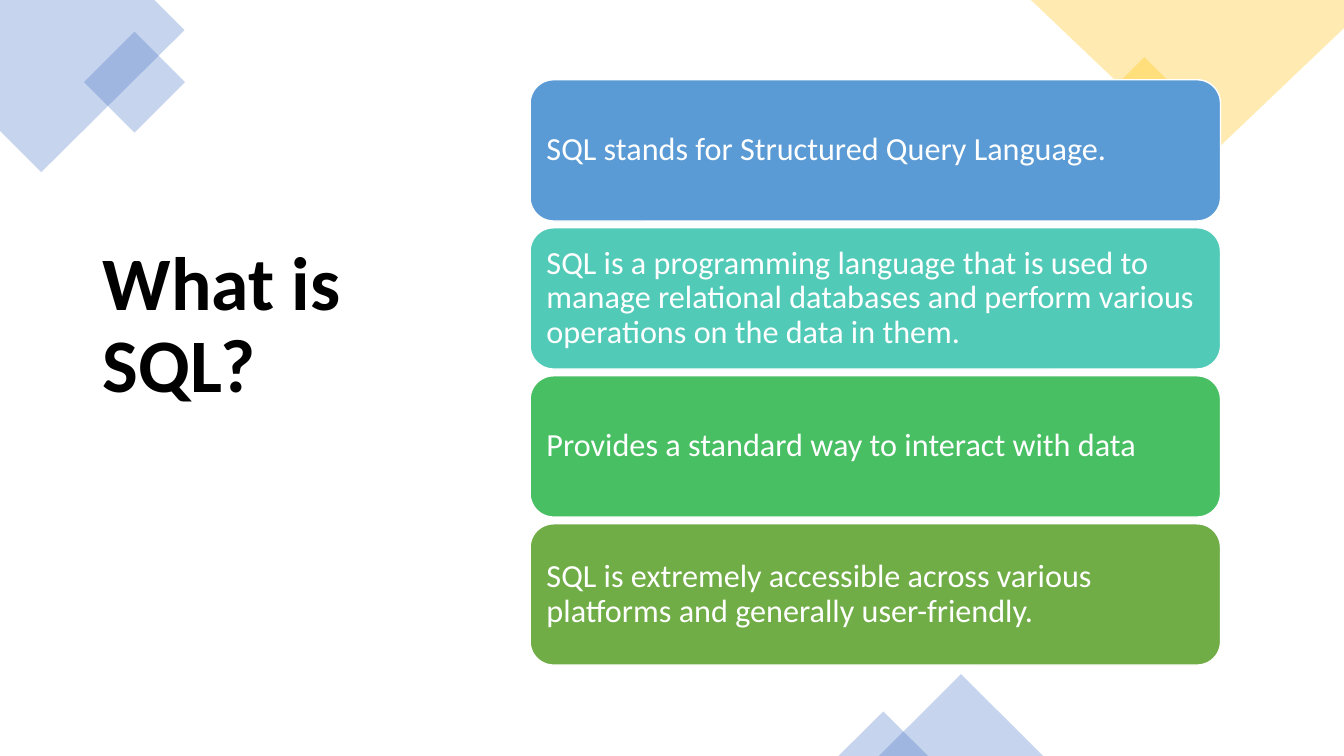
"""Build the "What is SQL?" slide with four stacked statement cards."""
from lxml.etree import SubElement
from pptx import Presentation
from pptx.dml.color import RGBColor
from pptx.enum.shapes import MSO_SHAPE
from pptx.enum.text import MSO_ANCHOR, PP_ALIGN
from pptx.oxml.ns import qn
from pptx.util import Cm, Pt

WHITE = RGBColor(0xFF, 0xFF, 0xFF)
BLACK = RGBColor(0x00, 0x00, 0x00)
CORNER_BLUE = RGBColor(0x44, 0x72, 0xC4)
CORNER_GOLD = RGBColor(0xFF, 0xC0, 0x00)
CARD_BLUE = RGBColor(0x5B, 0x9B, 0xD5)
CARD_TEAL = RGBColor(0x52, 0xCA, 0xB8)
CARD_GREEN = RGBColor(0x49, 0xBF, 0x64)
CARD_OLIVE = RGBColor(0x70, 0xAD, 0x47)


def tint(shape, color):
    shape.shadow.inherit = False
    shape.fill.solid()
    shape.fill.fore_color.rgb = color
    shape.line.fill.background()
    color_element = shape.fill._xPr.find(qn("a:solidFill"))[0]
    SubElement(color_element, qn("a:alpha"), val="30000")


def write(frame, text, size, color, bold=False):
    frame.word_wrap = True
    frame.vertical_anchor = MSO_ANCHOR.MIDDLE
    para = frame.paragraphs[0]
    para.text = text
    para.alignment = PP_ALIGN.LEFT
    para.line_spacing = 0.9
    para.font.name = "Calibri"
    para.font.size = Pt(size)
    para.font.bold = bold
    para.font.color.rgb = color


deck = Presentation()
deck.slide_width, deck.slide_height = Cm(33.87), Cm(19.05)
page = deck.slides.add_slide(deck.slide_layouts[6])

corners = [
    (CORNER_BLUE, [(0, 0), (3.89, 0), (4.65, 0.76), (1.04, 4.34), (0, 3.3)]),
    (CORNER_GOLD, [(33.87, 0), (25.98, 0), (30.3, 4.11), (33.87, 0.71)]),
]
for color, outline in corners:
    points = [(Cm(x), Cm(y)) for x, y in outline]
    builder = page.shapes.build_freeform(*points[0])
    builder.add_line_segments(points[1:], close=True)
    tint(builder.convert_to_shape(), color)

accents = [
    (MSO_SHAPE.RECTANGLE, CORNER_BLUE, 315, (2.49, 1.17, 1.8, 1.8)),
    (MSO_SHAPE.RECTANGLE, CORNER_GOLD, 315, (27.89, 1.83, 1.9, 1.9)),
    (MSO_SHAPE.ISOSCELES_TRIANGLE, CORNER_BLUE, 0, (22.15, 16.99, 4.14, 2.06)),
    (MSO_SHAPE.ISOSCELES_TRIANGLE, CORNER_BLUE, 0, (21.13, 17.93, 2.26, 1.12)),
]
for kind, color, angle, bounds in accents:
    accent = page.shapes.add_shape(kind, *map(Cm, bounds))
    accent.rotation = angle
    tint(accent, color)

title = page.shapes.add_textbox(Cm(2.34), Cm(1.55), Cm(9.37), Cm(15.47))
title.text_frame.margin_bottom = Cm(2.2)
write(title.text_frame, "What is SQL?", 54, BLACK, bold=True)

CARD_LEFT, CARD_TOP, CARD_WIDTH, CARD_HEIGHT = 13.36, 2.01, 17.4, 3.56
CARD_GAP = 0.17
cards = [
    (CARD_BLUE, "SQL stands for Structured Query Language."),
    (CARD_TEAL, "SQL is a programming language that is used to manage relational "
                "databases and perform various operations on the data in them."),
    (CARD_GREEN, "Provides a standard way to interact with data"),
    (CARD_OLIVE, "SQL is extremely accessible across various platforms and "
                 "generally user-friendly."),
]
for row, (color, statement) in enumerate(cards):
    top = CARD_TOP + row * (CARD_HEIGHT + CARD_GAP)
    card = page.shapes.add_shape(MSO_SHAPE.ROUNDED_RECTANGLE, Cm(CARD_LEFT),
                                 Cm(top), Cm(CARD_WIDTH), Cm(CARD_HEIGHT))
    card.shadow.inherit = False
    card.fill.solid()
    card.fill.fore_color.rgb = color
    card.line.color.rgb = WHITE
    card.line.width = Pt(1)
    frame = card.text_frame
    frame.margin_left = frame.margin_right = Cm(0.24)
    frame.margin_top = frame.margin_bottom = Cm(0.24)
    write(frame, statement, 23, WHITE)

deck.save("out.pptx")
